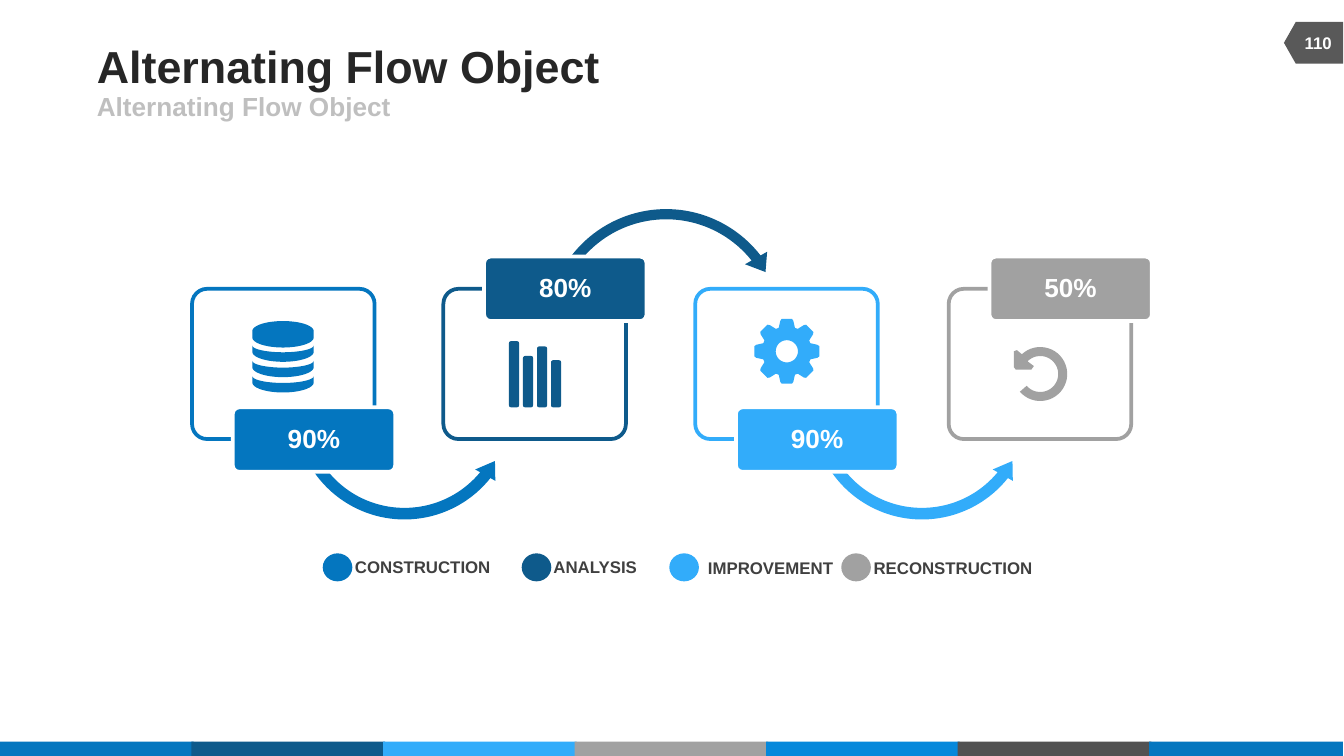
"""Build the Alternating Flow Object slide."""
from dataclasses import dataclass
from math import cos, radians, sin
from typing import Optional

from lxml.etree import SubElement
from pptx import Presentation
from pptx.dml.color import RGBColor
from pptx.enum.shapes import MSO_AUTO_SHAPE_TYPE as Preset
from pptx.enum.text import MSO_ANCHOR as Anchor
from pptx.enum.text import MSO_AUTO_SIZE as AutoSize
from pptx.enum.text import PP_ALIGN as Align
from pptx.oxml.ns import qn
from pptx.shapes.autoshape import Shape
from pptx.slide import Slide
from pptx.util import Cm, Pt

BLUE, NAVY, SKY, GREY = "0476BF", "0E5A8B", "32ACFA", "A1A1A1"
AZURE, CHARCOAL, WHITE = "0588DB", "525252", "FFFFFF"
LABEL_HIGH, LABEL_LOW = 4.85, 7.7

Point = tuple[float, float]


@dataclass
class Box:
    left: float
    top: float
    width: float
    height: float

    def lengths(self) -> tuple[Cm, Cm, Cm, Cm]:
        return Cm(self.left), Cm(self.top), Cm(self.width), Cm(self.height)


@dataclass
class Stage:
    percent: str
    color: str
    card_left: float
    label_top: float
    dot_left: float
    caption: str
    caption_box: Box


@dataclass
class FlowArrow:
    preset: Preset
    color: str
    box: Box
    adjustments: tuple[float, ...]


STAGES = [
    Stage("90%", BLUE, 3.63, LABEL_LOW, 6.1, "CONSTRUCTION", Box(6.71, 10.52, 2.59, 0.38)),
    Stage("80%", NAVY, 8.38, LABEL_HIGH, 9.86, "ANALYSIS", Box(10.46, 10.52, 1.63, 0.38)),
    Stage("90%", SKY, 13.14, LABEL_LOW, 12.65, "IMPROVEMENT", Box(13.38, 10.55, 2.39, 0.38)),
    Stage("50%", GREY, 17.93, LABEL_HIGH, 15.9, "RECONSTRUCTION", Box(16.51, 10.55, 3.02, 0.38)),
]
UNDER = (0.05, 5.66, 23.41, 90.25, 0.05)
OVER = (0.04, 5.09, 193.16, 125.76, 0.05)
ARROWS = [
    FlowArrow(Preset.LEFT_CIRCULAR_ARROW, BLUE, Box(5.46, 5.56, 4.37, 4.37), UNDER),
    FlowArrow(Preset.CIRCULAR_ARROW, NAVY, Box(10.19, 3.81, 4.8, 4.8), OVER),
    FlowArrow(Preset.LEFT_CIRCULAR_ARROW, SKY, Box(15.24, 5.56, 4.37, 4.37), UNDER),
]


def paint(shape: Shape, fill: Optional[str], line: Optional[str] = None) -> None:
    shape.shadow.inherit = False
    for target, color in ((shape.fill, fill), (shape.line.fill, line)):
        if color:
            target.solid()
            target.fore_color.rgb = RGBColor.from_string(color)
        else:
            target.background()
    if line:
        shape.line.width = Pt(2)


def add_preset(slide: Slide, preset: Preset, box: Box, fill: Optional[str],
               line: Optional[str] = None, adjustments: tuple[float, ...] = ()) -> Shape:
    shape = slide.shapes.add_shape(preset, *box.lengths())
    for index, value in enumerate(adjustments):
        shape.adjustments[index] = value
    paint(shape, fill, line)
    return shape


def write(shape: Shape, text: str, size: int, color: str, align: Align = Align.LEFT,
          anchor: Anchor = Anchor.MIDDLE) -> None:
    frame = shape.text_frame
    frame.text = text
    frame.word_wrap = False
    frame.auto_size = AutoSize.NONE
    frame.vertical_anchor = anchor
    frame.margin_left = frame.margin_right = frame.margin_top = frame.margin_bottom = 0
    paragraph = frame.paragraphs[0]
    paragraph.alignment = align
    font = paragraph.runs[0].font
    font.name, font.size, font.bold = "Arial", Pt(size), True
    font.color.rgb = RGBColor.from_string(color)


def place(shape: Shape, box: Box) -> None:
    shape.left, shape.top, shape.width, shape.height = box.lengths()


def arc(center: Point, radius_x: float, radius_y: float, start: float, end: float) -> list[Point]:
    steps = 36
    angles = [radians(start + (end - start) * step / steps) for step in range(steps + 1)]
    return [(center[0] + radius_x * cos(a), center[1] + radius_y * sin(a)) for a in angles]


def add_outline(slide: Slide, contours: list[list[Point]], color: str) -> None:
    scaled = [[(Cm(x), Cm(y)) for x, y in contour] for contour in contours]
    builder = slide.shapes.build_freeform(*scaled[0][0], scale=1.0)
    for index, contour in enumerate(scaled):
        if index:
            builder.move_to(*contour[0])
        builder.add_line_segments(contour[1:], close=True)
    paint(builder.convert_to_shape(), color)


def add_database_icon(slide: Slide) -> None:
    contours = []
    for top, dip in ((6.26, -0.19), (6.53, 0.13), (6.82, 0.13), (7.11, 0.13)):
        lower = arc((5.35, top + 0.12), 0.58, 0.19, 0, 180)
        contours.append(lower + arc((5.35, top), 0.58, dip, 180, 0))
    add_outline(slide, contours, BLUE)


def add_bars_icon(slide: Slide) -> None:
    for index, height in enumerate((1.25, 0.97, 1.15, 0.89)):
        bar = Box(9.62 + 0.265 * index, 7.7 - height, 0.19, height)
        add_preset(slide, Preset.ROUNDED_RECTANGLE, bar, NAVY, adjustments=(0.2,))


def add_gear_icon(slide: Slide) -> None:
    center = (14.87, 6.64)
    teeth = []
    for tooth in range(0, 360, 45):
        for offset, radius in ((-19, 0.47), (-12, 0.59), (-9, 0.62), (9, 0.62), (12, 0.59), (19, 0.47)):
            angle = radians(tooth + offset)
            teeth.append((center[0] + radius * cos(angle), center[1] + radius * sin(angle)))
    add_outline(slide, [teeth, arc(center, 0.21, 0.21, 0, 360)], SKY)


def add_undo_icon(slide: Slide) -> None:
    center = (19.66, 7.07)
    head = [(19.22, 6.62), (19.16, 6.64), (19.16, 6.94), (19.2, 6.99), (19.49, 6.99), (19.54, 6.92)]
    outer = arc(center, 0.51, 0.51, 139, -133)
    add_outline(slide, [outer + head + arc(center, 0.34, 0.34, -135, 139)], GREY)


def add_stage(slide: Slide, stage: Stage) -> None:
    card = Box(stage.card_left, 5.46, 3.45, 2.84)
    add_preset(slide, Preset.ROUNDED_RECTANGLE, card, None, stage.color, (0.1,))
    label_box = Box(stage.card_left + 0.77, stage.label_top, 3.07, 1.22)
    label = add_preset(slide, Preset.ROUNDED_RECTANGLE, label_box, stage.color, WHITE, (0.1,))
    write(label, stage.percent, 14, WHITE, Align.CENTER)
    label.text_frame.paragraphs[0].line_spacing = 0.9
    add_preset(slide, Preset.OVAL, Box(stage.dot_left, 10.46, 0.56, 0.53), stage.color)
    caption = slide.shapes.add_textbox(*stage.caption_box.lengths())
    write(caption, stage.caption, 9, "404040", anchor=Anchor.TOP)


def add_frame(slide: Slide) -> None:
    for index, color in enumerate((BLUE, NAVY, SKY, GREY, AZURE, CHARCOAL, BLUE)):
        add_preset(slide, Preset.RECTANGLE, Box(3.62 * index, 14.02, 3.66, 0.27), color)
    tag = add_preset(slide, Preset.FLOWCHART_OFFPAGE_CONNECTOR, Box(24.43, 0.25, 0.79, 1.12), "595959")
    tag.rotation = 90
    number = slide.shapes.add_textbox(*Box(24.38, 0.43, 1.07, 0.76).lengths())
    write(number, "110", 9, WHITE, Align.CENTER)


def add_headings(slide: Slide) -> None:
    title, subtitle = slide.shapes.title, slide.placeholders[1]
    place(title, Box(1.83, 0.74, 15.67, 0.99))
    write(title, "Alternating Flow Object", 24, "262626")
    place(subtitle, Box(1.83, 1.73, 11.43, 0.56))
    write(subtitle, "Alternating Flow Object", 14, "BFBFBF")
    properties = subtitle.text_frame.paragraphs[0]._p.get_or_add_pPr()
    properties.set("marL", "0")
    properties.set("indent", "0")
    SubElement(properties, qn("a:buNone"))


def main() -> None:
    presentation = Presentation()
    presentation.slide_width, presentation.slide_height = Cm(25.4), Cm(14.29)
    slide = presentation.slides.add_slide(presentation.slide_layouts[1])
    add_frame(slide)
    add_headings(slide)
    for arrow in ARROWS:
        add_preset(slide, arrow.preset, arrow.box, arrow.color, adjustments=arrow.adjustments)
    for stage in STAGES:
        add_stage(slide, stage)
    for add_icon in (add_database_icon, add_bars_icon, add_gear_icon, add_undo_icon):
        add_icon(slide)
    presentation.save("out.pptx")


if __name__ == "__main__":
    main()
